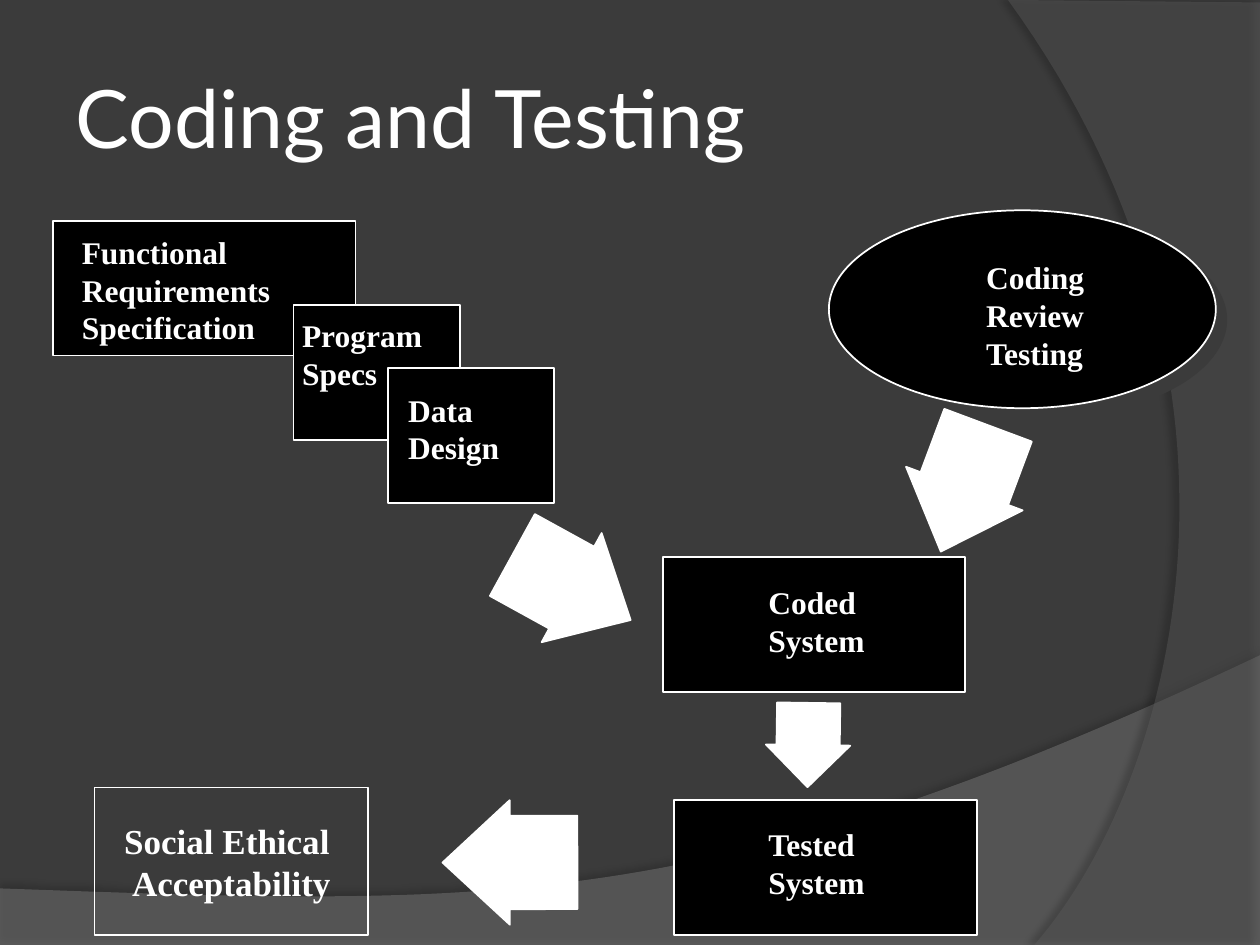
import pptx
import pptx.util
from lxml import etree
from pptx.dml.color import RGBColor
from pptx.enum.shapes import MSO_SHAPE
from pptx.enum.text import MSO_ANCHOR, MSO_AUTO_SIZE, PP_ALIGN
from pptx.oxml.ns import qn
from pptx.util import Cm

BACKGROUND = RGBColor(0x3B, 0x3B, 0x3B)
BLACK = RGBColor(0x00, 0x00, 0x00)
WHITE = RGBColor(0xFF, 0xFF, 0xFF)
LOWER_GREY = RGBColor(0x7F, 0x7F, 0x7F)
RIGHT_GREY = RGBColor(0x5E, 0x5E, 0x5E)


def curve(start, first, second, end, steps=60):
    points = []
    for step in range(1, steps + 1):
        t = step / steps
        weights = ((1 - t) ** 3, 3 * t * (1 - t) ** 2, 3 * t * t * (1 - t), t ** 3)
        corners = (start, first, second, end)
        points.append(tuple(sum(w * c[axis] for w, c in zip(weights, corners)) for axis in (0, 1)))
    return points


class SlideBuilder:
    title_font = "Lato"
    label_font = "Times New Roman"

    def __init__(self, page):
        self.page = page
        page.background.fill.solid()
        page.background.fill.fore_color.rgb = BACKGROUND

    def set_text(self, frame, text, font, size, bold, align):
        frame.text = text
        for para in frame.paragraphs:
            para.alignment = align
            for span in para.runs:
                span.font.name = font
                span.font.size = pptx.util.Pt(size)
                span.font.bold = bold
                span.font.color.rgb = WHITE

    def shadow(self, shape, color, alpha, blur, distance, direction):
        shape.shadow.inherit = False
        effects = shape._element.spPr.find(qn("a:effectLst"))
        outer = etree.SubElement(
            effects, qn("a:outerShdw"), blurRad=str(pptx.util.Pt(blur)),
            dist=str(pptx.util.Pt(distance)), dir=str(direction * 60000),
            algn="ctr", rotWithShape="0")
        shade = etree.SubElement(outer, qn("a:srgbClr"), val=str(color))
        etree.SubElement(shade, qn("a:alpha"), val=str(alpha * 1000))

    def swoosh(self, points, color, alpha, shadow):
        points = [(Cm(x), Cm(y)) for x, y in points]
        builder = self.page.shapes.build_freeform(*points[0], scale=1.0)
        builder.add_line_segments(points[1:], close=True)
        shape = builder.convert_to_shape()
        shape.fill.solid()
        shape.fill.fore_color.rgb = color
        shade = shape._element.spPr.find(qn("a:solidFill"))[0]
        etree.SubElement(shade, qn("a:alpha"), val=str(alpha * 1000))
        shape.line.fill.background()
        self.shadow(shape, *shadow)

    def title(self, text, left, top, width, height):
        box = self.page.shapes.title
        box.left, box.top, box.width, box.height = Cm(left), Cm(top), Cm(width), Cm(height)
        self.set_text(box.text_frame, text, self.title_font, 46, False, PP_ALIGN.LEFT)
        box.text_frame.vertical_anchor = MSO_ANCHOR.MIDDLE
        box.text_frame.auto_size = MSO_AUTO_SIZE.NONE

    def shape(self, kind, left, top, width, height, fill=BLACK, line=1):
        shape = self.page.shapes.add_shape(kind, Cm(left), Cm(top), Cm(width), Cm(height))
        shape.shadow.inherit = False
        if fill is None:
            shape.fill.background()
        else:
            shape.fill.solid()
            shape.fill.fore_color.rgb = fill
        shape.line.color.rgb = WHITE
        shape.line.width = pptx.util.Pt(line)
        return shape

    def box(self, left, top, width=6.1, height=2.72):
        return self.shape(MSO_SHAPE.RECTANGLE, left, top, width, height)

    def outlined_box(self, text, left, top, width, height):
        box = self.shape(MSO_SHAPE.RECTANGLE, left, top, width, height, None, 0.75)
        self.set_text(box.text_frame, text, self.label_font, 20, True, PP_ALIGN.CENTER)
        box.text_frame.vertical_anchor = MSO_ANCHOR.MIDDLE
        box.text_frame.word_wrap = False

    def arrow(self, left, top, rotation, width=2.72, height=2.51, head=0.54):
        arrow = self.shape(MSO_SHAPE.RIGHT_ARROW, left, top, width, height, WHITE)
        arrow.adjustments[0] = 0.75
        arrow.adjustments[1] = head
        arrow.rotation = rotation

    def label(self, text, left, top, width, height=1.78):
        label = self.page.shapes.add_textbox(Cm(left), Cm(top), Cm(width), Cm(height))
        self.set_text(label.text_frame, text, self.label_font, 18, True, PP_ALIGN.LEFT)
        label.text_frame.word_wrap = False
        label.text_frame.auto_size = MSO_AUTO_SIZE.SHAPE_TO_FIT_TEXT


def main():
    deck = pptx.Presentation()
    deck.slide_width, deck.slide_height = Cm(25.4), Cm(19.05)
    slide = SlideBuilder(deck.slides.add_slide(deck.slide_layouts[5]))

    lower_edge = curve((25.4, 13.21), (14.2, 18.52), (9.93, 18.26), (0, 17.91))
    slide.swoosh([(0, 19.08), (25.4, 19.08), (25.4, 13.21)] + lower_edge,
                 LOWER_GREY, 45, (BLACK, 35, 4, 3.5, 270))
    right_edge = curve((20.85, 19.05), (23.75, 15.72), (25.86, 7.62), (20.32, 0))
    slide.swoosh([(25.4, 0.05), (25.4, 19.05), (20.85, 19.05)] + right_edge,
                 RIGHT_GREY, 40, (BLACK, 45, 4, 4, 180))

    slide.title("Coding and Testing", 1.27, 0.76, 20.75, 3.18)

    slide.box(1.07, 4.45)
    slide.label("Functional\nRequirements\nSpecification", 1.4, 4.57, 4.32, 2.54)
    slide.box(5.92, 6.15, 3.35)
    slide.label("Program\nSpecs", 5.84, 6.25, 2.95)
    slide.box(7.82, 7.42, 3.35)
    slide.label("Data\nDesign", 7.98, 7.75, 2.34)

    review = slide.shape(MSO_SHAPE.OVAL, 16.71, 4.24, 7.8, 3.99)
    slide.shadow(review, BACKGROUND, 100, 0, 8.5, 45)
    slide.label("Coding\nReview\nTesting", 19.63, 5.08, 2.51, 2.54)

    slide.box(13.36, 11.23)
    slide.label("Coded\nSystem", 15.24, 11.63, 2.44)
    slide.arrow(10.16, 10.59, 28.8)
    slide.arrow(18.08, 8.59, 110.5)

    slide.outlined_box("Social Ethical \nAcceptability", 1.91, 15.88, 5.51, 2.97)
    slide.arrow(8.92, 16.13, 179.9)
    slide.box(13.59, 16.13)
    slide.arrow(15.44, 14.17, 90.8, 1.7, 1.7, 0.5)
    slide.label("Tested\nSystem", 15.24, 16.51, 2.44)

    deck.save("out.pptx")


if __name__ == "__main__":
    main()
